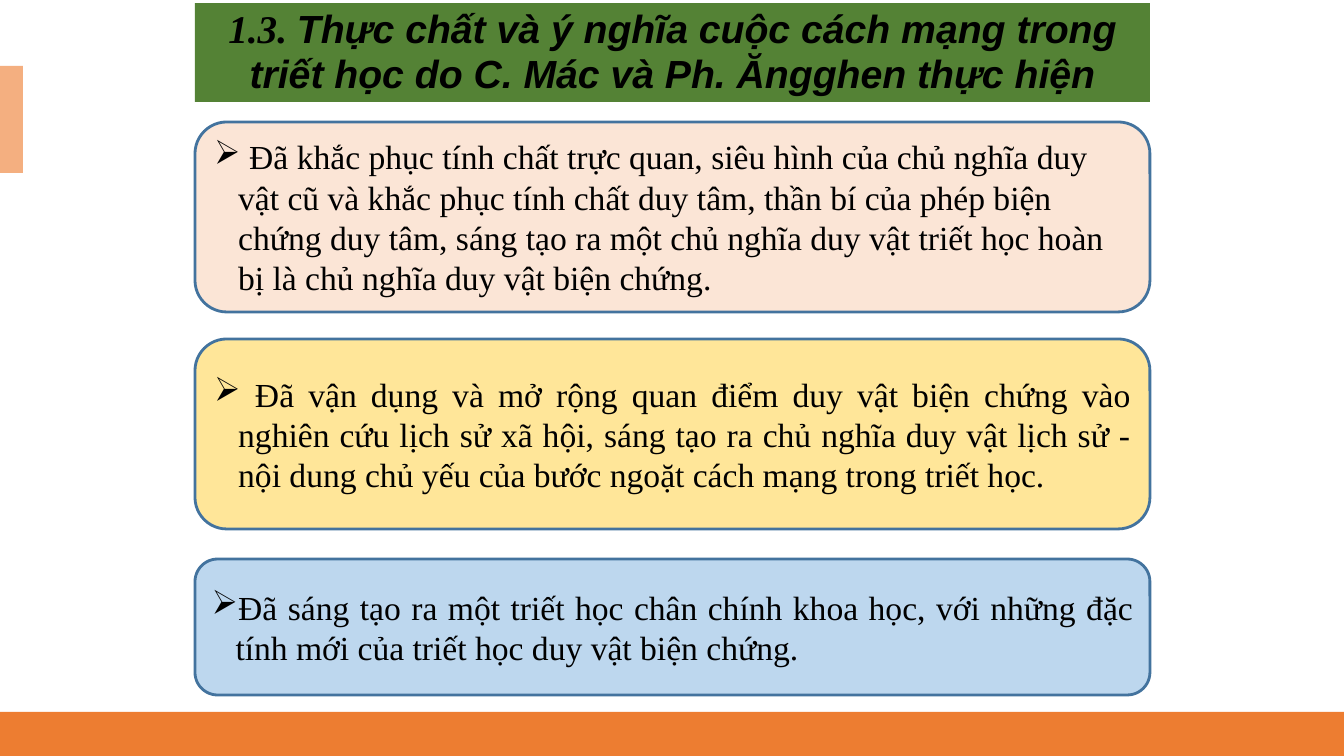
from lxml.etree import SubElement
from pptx import Presentation
from pptx.dml.color import RGBColor as Rgb
from pptx.enum.shapes import MSO_SHAPE as Form
from pptx.enum.text import MSO_ANCHOR as Anchor, PP_ALIGN as Align
from pptx.oxml.ns import qn
from pptx.util import Emu, Pt

PX = 914400 / 100.8
WIDE, HIGH = 1344, 756
LEFT, SPAN = 195, 955
HANG = 24
SERIF, SANS = "Times New Roman", "Arial"
HUES = {
    "bar": "ED7D31", "tab": "F4AF80", "title": "548235", "edge": "43739E",
    "peach": "FBE5D6", "yellow": "FFE699", "blue": "BDD7EE", "ink": "000000",
}
TITLE = "Thực chất và ý nghĩa cuộc cách mạng trong triết học do C. Mác và Ph. Ăngghen thực hiện"
POINTS = [
    (122, 190, "peach", Align.LEFT,
     " Đã khắc phục tính chất trực quan, siêu hình của chủ nghĩa duy vật cũ "
     "và khắc phục tính chất duy tâm, thần bí của phép biện chứng duy tâm, "
     "sáng tạo ra một chủ nghĩa duy vật triết học hoàn bị là chủ nghĩa duy vật biện chứng."),
    (339, 190, "yellow", Align.JUSTIFY,
     " Đã vận dụng và mở rộng quan điểm duy vật biện chứng vào nghiên cứu lịch sử xã hội, "
     "sáng tạo ra chủ nghĩa duy vật lịch sử - nội dung chủ yếu của bước ngoặt "
     "cách mạng trong triết học."),
    (559, 136, "blue", Align.JUSTIFY,
     "Đã sáng tạo ra một triết học chân chính khoa học, với những đặc tính mới "
     "của triết học duy vật biện chứng."),
]


def px(num):
    return Emu(round(num * PX))


def hue(name):
    return Rgb.from_string(HUES[name])


def block(slide, x, y, w, h, fill, form=Form.RECTANGLE, edge=None):
    shape = slide.shapes.add_shape(form, px(x), px(y), px(w), px(h))
    shape.shadow.inherit = False
    shape.fill.solid()
    shape.fill.fore_color.rgb = hue(fill)
    if edge:
        shape.line.color.rgb = hue(edge)
        shape.line.width = Pt(2)
    else:
        shape.line.fill.background()
    return shape


def bullet(para):
    """Give the paragraph a hanging arrow bullet."""
    props = para._p.get_or_add_pPr()
    props.set("marL", str(px(HANG)))
    props.set("indent", str(-px(HANG)))
    color = SubElement(props, qn("a:buClr"))
    SubElement(color, qn("a:srgbClr"), val=HUES["ink"])
    SubElement(props, qn("a:buChar"), char="➢")


def write(para, text, face=SERIF, size=24, bold=False, italic=False):
    run = para.add_run()
    run.text = text
    font = run.font
    font.name, font.size = face, Pt(size)
    font.bold, font.italic = bold, italic
    font.color.rgb = hue("ink")


def first(shape, align):
    """Centre the text upright and return its first paragraph."""
    frame = shape.text_frame
    frame.word_wrap = True
    frame.vertical_anchor = Anchor.MIDDLE
    para = frame.paragraphs[0]
    para.alignment = align
    return para


def banner(slide):
    shape = block(slide, LEFT, 3, SPAN, 99, "title")
    frame = shape.text_frame
    frame.margin_left = frame.margin_right = px(24)
    frame.margin_top = frame.margin_bottom = 0
    para = first(shape, Align.CENTER)
    para.line_spacing = 0.95
    style = {"size": 28, "bold": True, "italic": True}
    write(para, "1.3. ", **style)
    write(para, TITLE, face=SANS, **style)


def card(slide, y, h, fill, align, text):
    shape = block(slide, LEFT, y, SPAN, h, fill, Form.ROUNDED_RECTANGLE, "edge")
    para = first(shape, align)
    bullet(para)
    write(para, text)


def main():
    deck = Presentation()
    deck.slide_width, deck.slide_height = px(WIDE), px(HIGH)
    slide = deck.slides.add_slide(deck.slide_layouts[6])
    block(slide, 0, 712, WIDE, 44, "bar")
    block(slide, 0, 66, 23, 107, "tab")
    banner(slide)
    for point in POINTS:
        card(slide, *point)
    deck.save("out.pptx")


if __name__ == "__main__":
    main()
